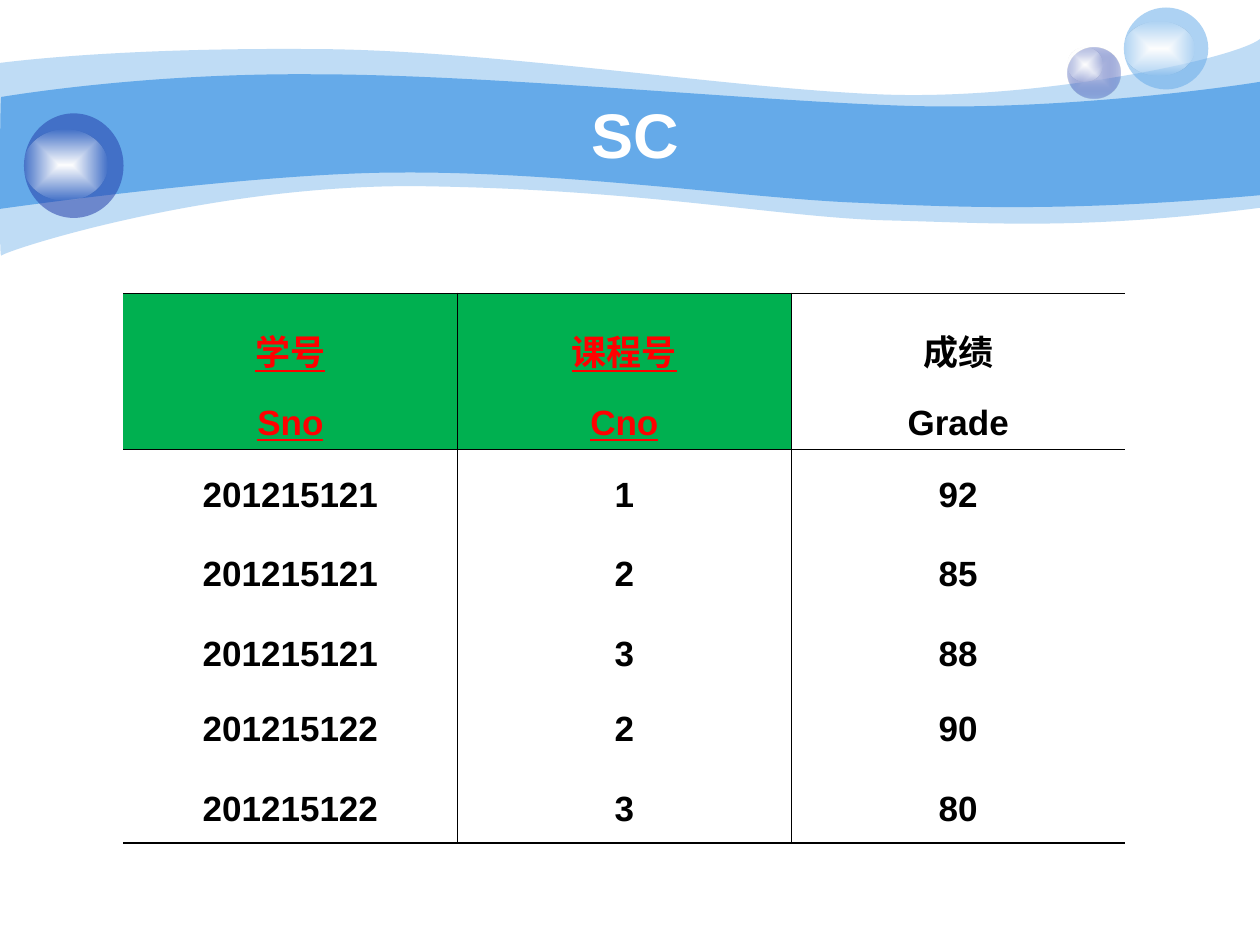
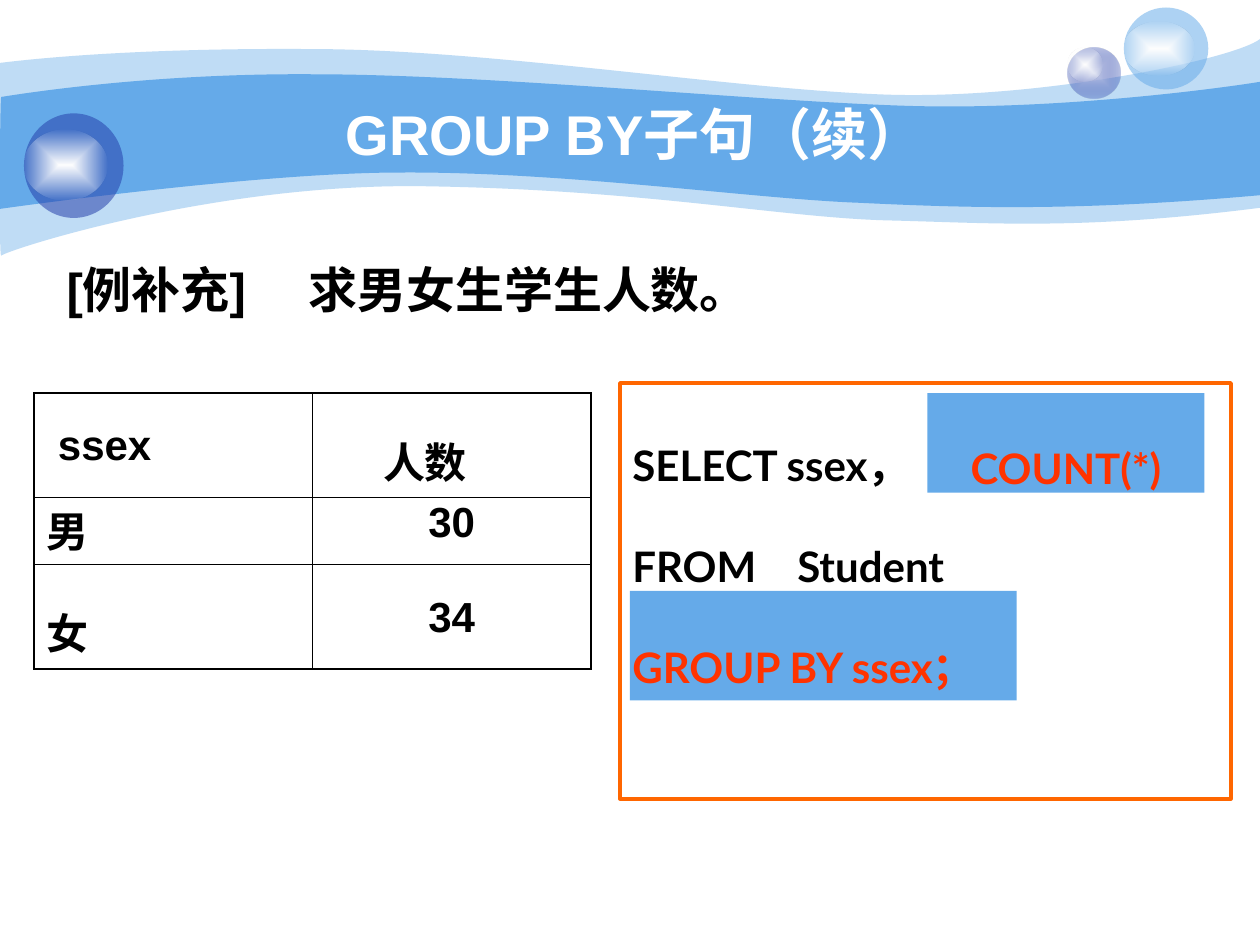
from dataclasses import dataclass

from pptx import Presentation
from pptx import util as u
from pptx.dml import color
from pptx.enum import shapes, text
from pptx.oxml import ns, parse_xml

BLUE, NAVY, WHITE, BLACK = "65AAE9", "233DA9", "FFFFFF", "000000"
RED, GREEN, ORANGE, VERMILION = "FF0000", "00B050", "FF6600", "FF3300"
THICK, THIN = 1.08, 0.45
LEFT, CENTER = text.PP_ALIGN.LEFT, text.PP_ALIGN.CENTER


@dataclass(frozen=True)
class Wave:
    """Two chains of cubic curves: a start point, then three points per curve."""
    crest: tuple
    trough: tuple
    opacity: int


@dataclass(frozen=True)
class Bubble:
    box: tuple
    shine: tuple
    color: str
    opacity: int
    center: str = ""


@dataclass(frozen=True)
class Style:
    size: float
    color: str = BLACK
    font: str = "Arial"
    align: int = LEFT
    spacing: float = 1.0
    before: float = 0
    underline: bool = False


@dataclass(frozen=True)
class Cell:
    words: str
    style: Style
    fill: str = ""
    margin: float = 0.1


@dataclass(frozen=True)
class Grid:
    left: float
    top: float
    column_width: float
    row_heights: tuple
    rows: list
    ruled_rows: tuple
    closed_sides: bool


WAVES = (
    Wave(((0, 0.5), (0.24, 0.47), (1.07, 0.38), (2.47, 0.39),
          (3.86, 0.39), (5.75, 0.7), (6.99, 0.75),
          (8.22, 0.8), (9.8, 0.47), (10, 0.31)),
         ((10, 1.65), (8.58, 1.83), (7.87, 1.77), (7.05, 1.75),
          (6.22, 1.73), (5.15, 1.51), (3.43, 1.48),
          (1.72, 1.44), (0.04, 1.99), (0.01, 2.03),
          (-0.01, 2.08), (0, 0.75), (0, 0.5)), 41),
    Wave(((0.01, 0.77), (0.02, 0.77), (1.1, 0.58), (2.48, 0.59),
          (3.86, 0.59), (5.95, 0.8), (7.18, 0.84),
          (8.41, 0.88), (9.76, 0.69), (10, 0.65)),
         ((10, 1.55), (8.53, 1.68), (7.65, 1.65), (6.82, 1.61),
          (5.99, 1.58), (4.47, 1.36), (3.17, 1.37),
          (2.03, 1.37), (-0.02, 1.66), (-0.01, 1.66),
          (0, 1.66), (0, 0.77), (0.01, 0.77)), 100),
)
BUBBLES = (
    Bubble((8.47, 0.38, 0.42, 0.4), (8.47, 0.38, 0.28, 0.27), NAVY, 31, "C7CEE9"),
    Bubble((8.92, 0.06, 0.67, 0.65), (8.92, 0.17, 0.56, 0.43), BLUE, 53),
    Bubble((0.19, 0.9, 0.79, 0.83), (0.19, 1.03, 0.66, 0.56), NAVY, 53),
)


def rgb(value: str) -> color.RGBColor:
    return color.RGBColor.from_string(value)


def inches(values: tuple) -> list:
    return [u.Inches(value) for value in values]


def paint(shape, fill: str = "", opacity: int = 100) -> None:
    """Give a flat fill (none if empty) without line or shadow."""
    shape.shadow.inherit = False
    shape.line.fill.background()
    if not fill:
        shape.fill.background()
        return
    shape.fill.solid()
    shape.fill.fore_color.rgb = rgb(fill)
    if opacity < 100:
        tint = shape.element.spPr.find(ns.qn("a:solidFill"))[0]
        tint.append(parse_xml(
            f'<a:alpha {ns.nsdecls("a")} val="{opacity * 1000}"/>'))


def glow(shape, center: str, edge: str, edge_opacity: int) -> None:
    """Fade from the center colour to a translucent edge colour."""
    paint(shape)
    gradient = parse_xml(
        f'<a:gradFill {ns.nsdecls("a")} rotWithShape="1"><a:gsLst>'
        f'<a:gs pos="0"><a:srgbClr val="{center}"/></a:gs>'
        f'<a:gs pos="100000"><a:srgbClr val="{edge}">'
        f'<a:alpha val="{edge_opacity * 1000}"/></a:srgbClr></a:gs></a:gsLst>'
        '<a:path path="rect"><a:fillToRect l="50000" t="50000" r="50000" b="50000"/>'
        '</a:path></a:gradFill>')
    properties = shape.element.spPr
    properties.replace(properties.find(ns.qn("a:noFill")), gradient)


def bend(lines: list) -> None:
    """Turn each three consecutive line segments into one cubic curve."""
    for i in range(0, len(lines), 3):
        curve = parse_xml(f'<a:cubicBezTo {ns.nsdecls("a")}/>')
        lines[i].addprevious(curve)
        for line in lines[i:i + 3]:
            curve.append(line[0])
            line.getparent().remove(line)


def draw_wave(slide, wave: Wave) -> None:
    start, *outline = [inches(point) for point in wave.crest + wave.trough]
    builder = slide.shapes.build_freeform(*start, scale=1.0)
    builder.add_line_segments(outline, close=True)
    band = builder.convert_to_shape()
    lines = list(band.element.iter(ns.qn("a:lnTo")))
    bend(lines[:len(wave.crest) - 1])
    bend(lines[len(wave.crest):])
    paint(band, BLUE, wave.opacity)


def add_preset(slide, kind, box: tuple):
    return slide.shapes.add_shape(kind, *inches(box))


def draw_bubble(slide, bubble: Bubble) -> None:
    oval = shapes.MSO_SHAPE.OVAL
    ball = add_preset(slide, oval, bubble.box)
    if bubble.center:
        glow(ball, bubble.center, bubble.color, bubble.opacity)
    else:
        paint(ball, bubble.color, bubble.opacity)
    glow(add_preset(slide, oval, bubble.shine), WHITE, WHITE, 0)


def write(frame, words: str, style: Style, tab: float = 0) -> None:
    """Fill a frame, one paragraph per line, with an optional tab stop."""
    frame.text = words
    for index, paragraph in enumerate(frame.paragraphs):
        if tab and "\t" in paragraph.text:
            paragraph._p.get_or_add_pPr().append(parse_xml(
                f'<a:tabLst {ns.nsdecls("a")}>'
                f'<a:tab pos="{u.Inches(tab)}" algn="l"/></a:tabLst>'))
        paragraph.alignment = style.align
        paragraph.line_spacing = style.spacing
        paragraph.space_before = u.Pt(style.before if index else 0)
        for run in paragraph.runs:
            run.font.name = style.font
            run.font.size = u.Pt(style.size)
            run.font.bold = True
            run.font.underline = style.underline
            run.font.color.rgb = rgb(style.color)


def add_text(slide, box: tuple, words: str, style: Style,
             anchor=text.MSO_ANCHOR.TOP, tab: float = 0) -> None:
    frame = slide.shapes.add_textbox(*inches(box)).text_frame
    frame.word_wrap = True
    frame.vertical_anchor = anchor
    write(frame, words, style, tab)


def add_title(slide, words: str, size: float) -> None:
    add_text(slide, (1, 0.75, 8.08, 0.62), words,
             Style(size, WHITE, align=CENTER), text.MSO_ANCHOR.MIDDLE)


def add_themed_slide(deck):
    slide = deck.slides.add_slide(deck.slide_layouts[6])
    for wave in WAVES:
        draw_wave(slide, wave)
    for bubble in BUBBLES:
        draw_bubble(slide, bubble)
    return slide


def set_borders(cell, widths: dict) -> None:
    """Rule the four sides (L, R, T, B) in points; zero leaves a side open."""
    for side, width in widths.items():
        ink = (f'<a:solidFill><a:srgbClr val="{BLACK}"/></a:solidFill>'
               if width else "<a:noFill/>")
        cell._tc.get_or_add_tcPr().append(parse_xml(
            f'<a:ln{side} {ns.nsdecls("a")} w="{u.Pt(width)}">{ink}</a:ln{side}>'))


def draw_grid(slide, grid: Grid) -> None:
    row_count, column_count = len(grid.rows), len(grid.rows[0])
    table = slide.shapes.add_table(row_count, column_count, *inches((
        grid.left, grid.top, grid.column_width * column_count,
        sum(grid.row_heights)))).table
    table.first_row = table.horz_banding = False

    def across(edge: int) -> float:
        if edge in (0, row_count):
            return THICK
        return THIN if edge in grid.ruled_rows else 0

    def down(edge: int) -> float:
        if edge in (0, column_count):
            return THICK if grid.closed_sides else 0
        return THIN

    for column in table.columns:
        column.width = u.Inches(grid.column_width)
    for r, (height, entries) in enumerate(zip(grid.row_heights, grid.rows)):
        table.rows[r].height = u.Inches(height)
        for c, entry in enumerate(entries):
            cell = table.cell(r, c)
            set_borders(cell, {"L": down(c), "R": down(c + 1),
                               "T": across(r), "B": across(r + 1)})
            if entry.fill:
                cell.fill.solid()
                cell.fill.fore_color.rgb = rgb(entry.fill)
            else:
                cell.fill.background()
            cell.margin_left = u.Inches(entry.margin)
            write(cell.text_frame, entry.words, entry.style)


def build_grades(deck) -> None:
    slide = add_themed_slide(deck)
    add_title(slide, "SC", 36)
    plain = Style(20, align=CENTER, spacing=1.5, before=5)
    key = Style(20, RED, align=CENTER, spacing=1.5, before=5, underline=True)
    header = [Cell("学号\nSno", key, GREEN), Cell("课程号\nCno", key, GREEN),
              Cell("成绩\nGrade", plain)]
    grades = (("201215121", "1", "92"), ("201215121", "2", "85"),
              ("201215121", "3", "88"), ("201215122", "2", "90"),
              ("201215122", "3", "80"))
    rows = [header] + [[Cell(value, plain) for value in grade] for grade in grades]
    draw_grid(slide, Grid(0.98, 2.33, 2.65, (1.24, 0.63, 0.63, 0.6, 0.63, 0.63),
                          rows, ruled_rows=(1,), closed_sides=False))


def build_group_by(deck) -> None:
    slide = add_themed_slide(deck)
    rectangle = shapes.MSO_SHAPE.RECTANGLE
    paint(add_preset(slide, rectangle, (5, 4.69, 3.07, 0.87)), BLUE)
    add_title(slide, "GROUP BY子句（续）", 32)
    add_text(slide, (0.43, 1.78, 7.32, 1.04), "[例补充]\t求男女生学生人数。",
             Style(28, spacing=1.5), tab=1.92)

    label, count = Style(24, spacing=1.5), Style(24, align=CENTER, spacing=1.5)
    tight_label = Style(24, spacing=0.9)
    tight_count = Style(24, align=CENTER, spacing=0.9)
    rows = [[Cell("ssex", label, margin=0.19), Cell("人数", label, margin=0.56)],
            [Cell("男", tight_label), Cell("30", tight_count)],
            [Cell("女", label), Cell("34", count)]]
    draw_grid(slide, Grid(0.27, 3.12, 2.21, (0.83, 0.53, 0.83), rows,
                          ruled_rows=(1, 2), closed_sides=True))

    query = add_preset(slide, rectangle, (4.92, 3.04, 4.85, 3.3))
    paint(query)
    query.line.color.rgb = rgb(ORANGE)
    query.line.width = u.Pt(2)
    query.text_frame.vertical_anchor = text.MSO_ANCHOR.TOP
    write(query.text_frame, "SELECT ssex，\nFROM\tStudent\nGROUP BY ssex；",
          Style(24, font="Lato", spacing=2), tab=1.31)
    for run in query.text_frame.paragraphs[-1].runs:
        run.font.color.rgb = rgb(VERMILION)

    aggregate = add_preset(slide, rectangle, (7.36, 3.12, 2.2, 0.79))
    paint(aggregate, BLUE)
    aggregate.text_frame.word_wrap = False
    write(aggregate.text_frame, "COUNT(*)",
          Style(24, VERMILION, "Lato", CENTER, 2))


def main() -> None:
    deck = Presentation()
    deck.slide_width, deck.slide_height = u.Inches(10), u.Inches(7.5)
    build_grades(deck)
    build_group_by(deck)
    deck.save("out.pptx")


if __name__ == "__main__":
    main()
